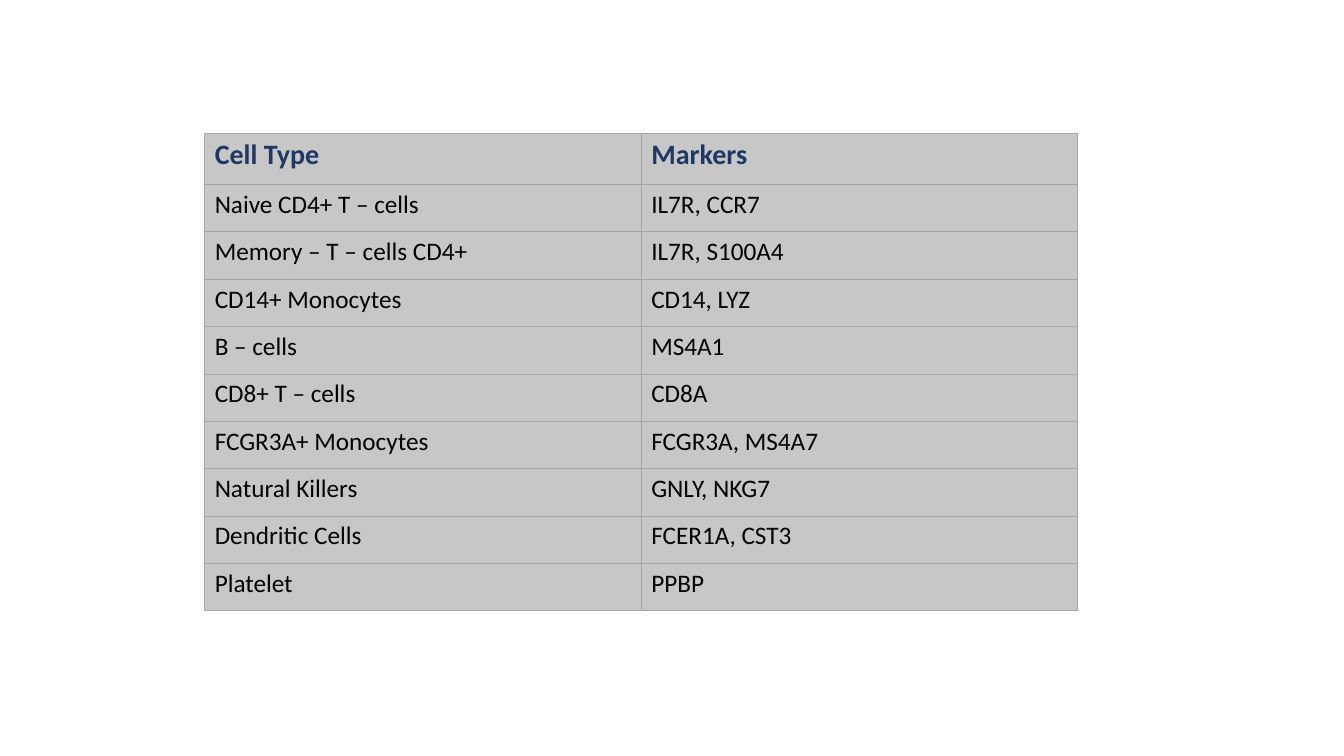
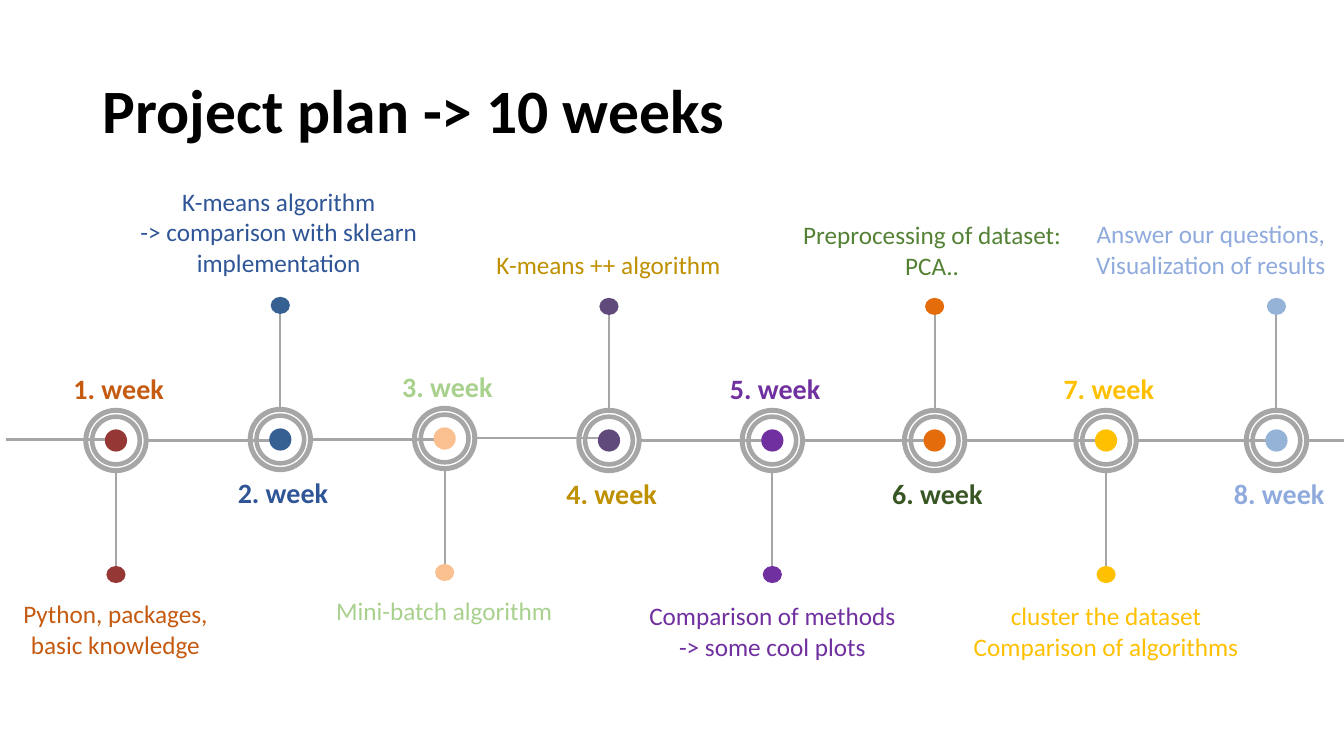
"""Build a cell marker table and a project timeline."""
from itertools import product

from lxml import etree
from pptx import Presentation
from pptx.dml.color import RGBColor
from pptx.enum import shapes, text
from pptx.oxml import ns
from pptx.util import Inches, Pt

FONT = "Calibri"
BLACK = RGBColor(0x00, 0x00, 0x00)
WHITE = RGBColor(0xFF, 0xFF, 0xFF)
NAVY = RGBColor(0x20, 0x38, 0x64)
CELL_GREY = RGBColor(0xC7, 0xC7, 0xC7)
BORDER_GREY = RGBColor(0xA5, 0xA5, 0xA5)
LINE_GREY = RGBColor(0xA6, 0xA6, 0xA6)
MAROON = RGBColor(0x95, 0x37, 0x35)
RUST = RGBColor(0xC5, 0x5A, 0x11)
STEEL = RGBColor(0x37, 0x60, 0x92)
BLUE = RGBColor(0x2F, 0x55, 0x97)
PEACH = RGBColor(0xFA, 0xC0, 0x90)
LIGHT_GREEN = RGBColor(0xA9, 0xD1, 0x8E)
PLUM = RGBColor(0x60, 0x4A, 0x7B)
OCHRE = RGBColor(0xBF, 0x90, 0x00)
PURPLE = RGBColor(0x70, 0x30, 0xA0)
ORANGE = RGBColor(0xE4, 0x6C, 0x0A)
DARK_GREEN = RGBColor(0x38, 0x56, 0x23)
GREEN = RGBColor(0x54, 0x82, 0x35)
YELLOW = RGBColor(0xFF, 0xC0, 0x00)
SKY = RGBColor(0x95, 0xB3, 0xD7)
RING_BLUE = RGBColor(0x4F, 0x81, 0xBD)
PERIWINKLE = RGBColor(0x8F, 0xAA, 0xDC)

MARKERS = [
    ("Cell Type", "Markers"),
    ("Naive CD4+ T – cells", "IL7R, CCR7"),
    ("Memory – T – cells CD4+", "IL7R, S100A4"),
    ("CD14+ Monocytes", "CD14, LYZ"),
    ("B – cells", "MS4A1"),
    ("CD8+ T – cells", "CD8A"),
    ("FCGR3A+ Monocytes", "FCGR3A, MS4A7"),
    ("Natural Killers", "GNLY, NKG7"),
    ("Dendritic Cells", "FCER1A, CST3"),
    ("Platelet", "PPBP"),
]

TITLE = "Project plan -> 10 weeks"
# centre x, centre y, dot, ring, label colour, note colour, note box, note lines
WEEKS = [
    (1.15, 4.37, MAROON, MAROON, RUST, RUST, (0.09, 5.89, 2.11, 0.7),
     ["Python, packages, basic knowledge"]),
    (2.78, 4.36, STEEL, STEEL, BLUE, BLUE, (1.26, 1.8, 3.01, 1),
     ["K-means algorithm", "-> comparison with sklearn implementation"]),
    (4.41, 4.35, PEACH, PEACH, LIGHT_GREEN, LIGHT_GREEN, (3.1, 5.86, 2.61, 0.4),
     ["Mini-batch algorithm"]),
    (6.04, 4.37, PLUM, PLUM, OCHRE, OCHRE, (4.53, 2.42, 3.01, 0.4),
     ["K-means ++ algorithm"]),
    (7.66, 4.37, PURPLE, PURPLE, PURPLE, PURPLE, (6.32, 5.91, 2.68, 0.7),
     ["Comparison of methods -> some cool plots"]),
    (9.27, 4.37, ORANGE, ORANGE, DARK_GREEN, GREEN, (7.74, 2.13, 3.01, 0.7),
     ["Preprocessing of dataset: PCA.."]),
    (10.97, 4.37, YELLOW, YELLOW, YELLOW, YELLOW, (9.54, 5.91, 2.86, 0.7),
     ["cluster the dataset", "Comparison of algorithms"]),
    (12.66, 4.37, SKY, RING_BLUE, PERIWINKLE, PERIWINKLE, (10.71, 2.12, 2.6, 0.7),
     ["Answer our questions,", "Visualization of results"]),
]
RADIUS = 0.31
RAIL_LENGTH = 1.28
SLIDE_WIDTH = 13.33


def write(frame, lines, *, size=18, color=BLACK, bold=False,
          align=text.PP_ALIGN.LEFT, spacing=None):
    frame.word_wrap = True
    for index, line in enumerate(lines):
        paragraph = frame.add_paragraph() if index else frame.paragraphs[0]
        paragraph.alignment = align
        paragraph.line_spacing = spacing
        run = paragraph.add_run()
        run.text = line
        run.font.name, run.font.size = FONT, Pt(size)
        run.font.bold, run.font.color.rgb = bold, color


def add_text(slide, box, lines, **style):
    write(slide.shapes.add_textbox(*map(Inches, box)).text_frame, lines, **style)


def add_line(slide, *ends):
    line = slide.shapes.add_connector(shapes.MSO_CONNECTOR.STRAIGHT, *map(Inches, ends))
    line.line.color.rgb, line.line.width = LINE_GREY, Pt(1.5)
    etree.SubElement(line._element.spPr, ns.qn("a:effectLst"))


def add_round(slide, kind, x, y, width, height, fill):
    shape = slide.shapes.add_shape(
        kind, *map(Inches, (x - width / 2, y - height / 2, width, height)))
    shape.shadow.inherit = False
    shape.fill.solid()
    shape.fill.fore_color.rgb = fill
    if kind == shapes.MSO_SHAPE.DONUT:
        shape.adjustments[0] = 0.035
        shape.line.color.rgb, shape.line.width = LINE_GREY, Pt(2)
    else:
        shape.line.fill.background()


def set_borders(cell):
    properties = cell._tc.get_or_add_tcPr()
    for index, side in enumerate(("lnL", "lnR", "lnT", "lnB")):
        border = etree.Element(ns.qn(f"a:{side}"), w=str(Pt(0.5)))
        fill = etree.SubElement(border, ns.qn("a:solidFill"))
        etree.SubElement(fill, ns.qn("a:srgbClr"), val=str(BORDER_GREY))
        properties.insert(index, border)


def build_marker_table(presentation):
    slide = presentation.slides.add_slide(presentation.slide_layouts[6])
    row_count, column_count = len(MARKERS), len(MARKERS[0])
    table = slide.shapes.add_table(
        row_count, column_count, *map(Inches, (2.03, 1.32, 8.66, 4.74))).table
    for index, row in enumerate(table.rows):
        row.height = Inches(0.47 if index else 0.51)
    for row, column in product(range(row_count), range(column_count)):
        cell = table.cell(row, column)
        cell.fill.solid()
        cell.fill.fore_color.rgb = CELL_GREY
        set_borders(cell)
        header = row == 0
        write(cell.text_frame, [MARKERS[row][column]], size=20 if header else 18,
              color=NAVY if header else BLACK, bold=header)


def add_week(slide, number, week):
    x, y, dot, ring, label_color, note_color, note_box, note = week
    direction = 1 if number % 2 else -1
    oval, donut = shapes.MSO_SHAPE.OVAL, shapes.MSO_SHAPE.DONUT
    add_round(slide, oval, x, y, 0.22, 0.22, dot)
    add_round(slide, donut, x, y, 0.49, 0.49, ring)
    add_round(slide, donut, x, y, 2 * RADIUS, 2 * RADIUS, LINE_GREY)
    add_line(slide, x, y + direction * RADIUS, x, y + direction * 1.25)
    add_round(slide, oval, x, y + direction * 1.33, 0.19, 0.17, dot)
    label_top = y - 0.73 if direction > 0 else y + RADIUS
    add_text(slide, (x - 0.52, label_top, 1.15, 0.43), [f"{number}. week"],
             size=20, color=label_color, bold=True)
    add_text(slide, note_box, note, color=note_color, align=text.PP_ALIGN.CENTER)


def build_timeline(presentation):
    slide = presentation.slides.add_slide(presentation.slide_layouts[5])
    title = slide.shapes.title
    title.left, title.top, title.width, title.height = map(Inches, (0.92, 0.4, 11.5, 1.45))
    title.fill.solid()
    title.fill.fore_color.rgb = WHITE
    title.text_frame.auto_size = text.MSO_AUTO_SIZE.NONE
    title.text_frame.vertical_anchor = text.MSO_ANCHOR.MIDDLE
    write(title.text_frame, [TITLE], size=44, bold=True, spacing=0.9)

    add_line(slide, 0.06, 4.36, 1.13, 4.36)
    for number, week in enumerate(WEEKS, 1):
        start, y = week[0] + RADIUS, week[1]
        add_line(slide, start, y, min(start + RAIL_LENGTH, SLIDE_WIDTH), y)
        add_week(slide, number, week)


def main():
    presentation = Presentation()
    presentation.slide_width = Inches(SLIDE_WIDTH)
    presentation.slide_height = Inches(7.5)
    build_marker_table(presentation)
    build_timeline(presentation)
    presentation.save("out.pptx")


if __name__ == "__main__":
    main()
